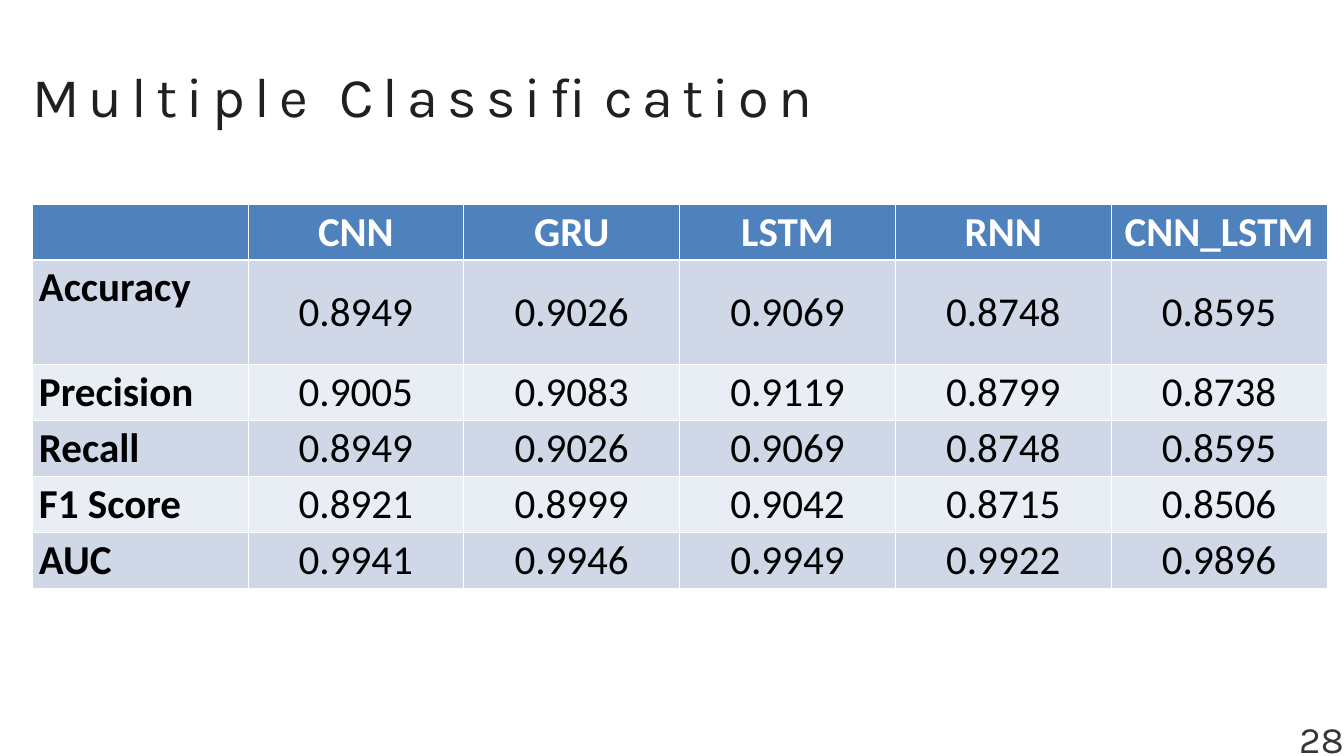
from lxml.etree import SubElement
from pptx import Presentation
from pptx.dml.color import RGBColor
from pptx.enum.text import MSO_ANCHOR, MSO_AUTO_SIZE, PP_ALIGN
from pptx.oxml.ns import qn
from pptx.util import Inches, Pt

TITLE = "Multiple Classification"
PAGE = "28"
ROWS = [
    ("", "CNN", "GRU", "LSTM", "RNN", "CNN_LSTM"),
    ("Accuracy", "0.8949", "0.9026", "0.9069", "0.8748", "0.8595"),
    ("Precision", "0.9005", "0.9083", "0.9119", "0.8799", "0.8738"),
    ("Recall", "0.8949", "0.9026", "0.9069", "0.8748", "0.8595"),
    ("F1 Score", "0.8921", "0.8999", "0.9042", "0.8715", "0.8506"),
    ("AUC", "0.9941", "0.9946", "0.9949", "0.9922", "0.9896"),
]
HIGH = [0.83, 1.56, 0.83, 0.83, 0.83, 0.83]
HEX = {
    "title": "231F20", "page": "363636", "head": "4F81BD",
    "odd": "D0D8E8", "even": "E9EDF4", "white": "FFFFFF", "black": "000000",
}


def style(par, font, size, hue, bold=False):
    for run in par.runs:
        run.font.name = font
        run.font.size = Pt(size)
        run.font.bold = bold
        run.font.color.rgb = RGBColor.from_string(HEX[hue])


def place(shape, box, text, size, hue, lead, align):
    shape.left, shape.top, shape.width, shape.height = map(Inches, box)
    frame = shape.text_frame
    frame.text = text
    frame.word_wrap = True
    frame.auto_size = MSO_AUTO_SIZE.SHAPE_TO_FIT_TEXT
    frame.vertical_anchor = MSO_ANCHOR.TOP
    frame.margin_left = frame.margin_right = 0
    frame.margin_top = frame.margin_bottom = 0
    par = frame.paragraphs[0]
    par.alignment = align
    par.line_spacing = Pt(lead)
    style(par, "Karla", size, hue)
    return par


def edge(cell, row):
    props = cell._tc.get_or_add_tcPr()
    for side in "LRTB":
        thick = (row, side) in ((0, "B"), (1, "T"))
        line = SubElement(props, qn("a:ln" + side), w=str(Pt(3 if thick else 1)))
        fill = SubElement(line, qn("a:solidFill"))
        SubElement(fill, qn("a:srgbClr"), val=HEX["white"])


def fill_cell(cell, row, col, text):
    edge(cell, row)
    hue = "head" if row == 0 else "odd" if row % 2 else "even"
    cell.fill.solid()
    cell.fill.fore_color.rgb = RGBColor.from_string(HEX[hue])
    cell.margin_top = cell.margin_bottom = Inches(0.04)
    top = (row, col) == (1, 0)
    cell.vertical_anchor = MSO_ANCHOR.TOP if top else MSO_ANCHOR.MIDDLE
    cell.text = text
    par = cell.text_frame.paragraphs[0]
    par.alignment = PP_ALIGN.CENTER if col else PP_ALIGN.LEFT
    style(par, "Calibri", 44, "black" if row else "white", row == 0 or col == 0)


def main():
    deck = Presentation()
    deck.slide_width, deck.slide_height = Inches(20), Inches(11.25)
    slide = deck.slides.add_slide(deck.slide_layouts[5])
    shapes = slide.shapes

    par = place(shapes.title, (0.48, 0, 17.5, 1.64), TITLE, 60, "title",
                137.7, PP_ALIGN.LEFT)
    par.runs[0].font._element.set("spc", "980")

    table = shapes.add_table(
        len(ROWS), len(ROWS[0]), Inches(0.48), Inches(3.04),
        Inches(19.27), Inches(sum(HIGH))).table
    for row, (high, texts) in enumerate(zip(HIGH, ROWS)):
        table.rows[row].height = Inches(high)
        for col, text in enumerate(texts):
            fill_cell(table.cell(row, col), row, col, text)

    page = shapes.add_textbox(0, 0, 0, 0)
    place(page, (19.29, 10.61, 0.75, 0.66), PAGE, 40, "page",
          51.3, PP_ALIGN.CENTER)

    deck.save("out.pptx")


if __name__ == "__main__":
    main()
